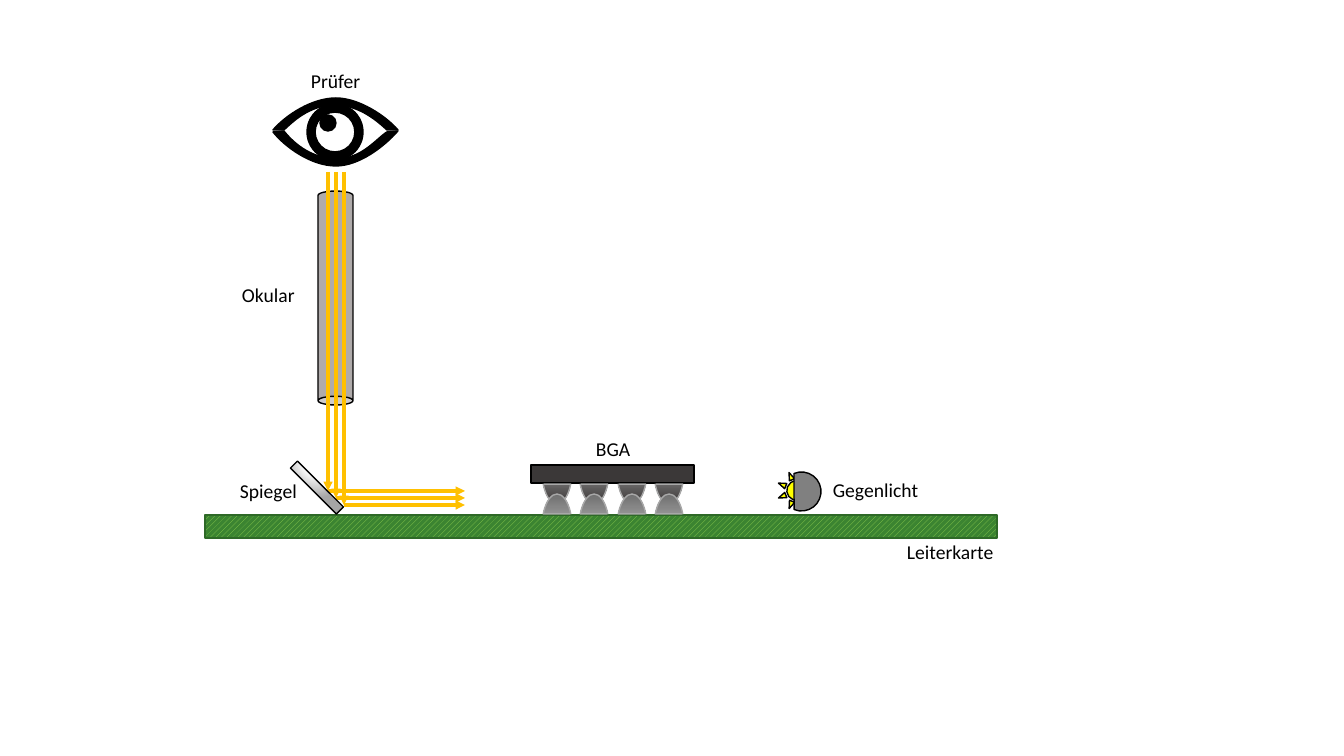
from dataclasses import dataclass
from typing import Union

from pptx import Presentation
from pptx.dml.color import RGBColor
from pptx.enum.dml import MSO_PATTERN
from pptx.enum.shapes import MSO_CONNECTOR, MSO_SHAPE as Preset
from pptx.enum.text import MSO_AUTO_SIZE
from pptx.oxml import parse_xml
from pptx.oxml.ns import nsdecls, qn
from pptx.oxml.xmlchemy import OxmlElement
from pptx.util import Emu, Pt

SLIDE_WIDTH, SLIDE_HEIGHT = 1344, 756
EMU_PER_PIXEL = 12192000 / SLIDE_WIDTH

BLACK = RGBColor(0x00, 0x00, 0x00)
WHITE = RGBColor(0xFF, 0xFF, 0xFF)
BOARD_GREEN = RGBColor(0x3B, 0x84, 0x31)
BOARD_STRIPE = RGBColor(0x92, 0xD0, 0x50)
BOARD_EDGE = RGBColor(0x2E, 0x69, 0x27)
PACKAGE_GREY = RGBColor(0x3B, 0x38, 0x38)
SOLDER_SHADE = RGBColor(0x6F, 0x6F, 0x6F)
SOLDER_GREY = RGBColor(0xA8, 0xA8, 0xA8)
SOLDER_SHINE = RGBColor(0xC9, 0xC9, 0xC9)
TUBE_GREY = RGBColor(0xAF, 0xAB, 0xAB)
MIRROR_GREY = RGBColor(0xA5, 0xA5, 0xA5)
LAMP_GREY = RGBColor(0x80, 0x80, 0x80)
LAMP_YELLOW = RGBColor(0xFF, 0xFF, 0x00)
RAY_AMBER = RGBColor(0xFF, 0xC0, 0x00)

Point = tuple[int, int]
Bend = tuple[Point, Point, Point]


@dataclass(frozen=True)
class Gradient:
    """Colour stops in percent, with the XML that gives their direction."""
    stops: tuple[tuple[int, RGBColor], ...]
    shading: str


@dataclass(frozen=True)
class Hatch:
    """Diagonal stripes on a ground colour."""
    stripe: RGBColor
    ground: RGBColor


@dataclass(frozen=True)
class Part:
    """One preset shape of the test setup, in pixels."""
    preset: Preset
    left: int
    top: int
    width: int
    height: int
    fill: Union[RGBColor, Gradient, Hatch]
    edge: RGBColor = BLACK
    rotation: float = 0
    adjustments: tuple[float, ...] = ()


@dataclass(frozen=True)
class Label:
    """A caption and the box that holds it, in pixels."""
    text: str
    left: int
    top: int
    width: int
    height: int = 34


@dataclass(frozen=True)
class Eyelid:
    """A lid: two outer bends from one corner, two inner bends back."""
    corner: Point
    outer: tuple[Bend, Bend]
    turn: Point
    inner: tuple[Bend, Bend]


UPWARD = '<a:lin ang="16200000" scaled="0"/>'
ROUND = ('<a:path path="circle"><a:fillToRect l="50000" t="-80000" '
         'r="50000" b="180000"/></a:path>')
PAD_SOLDER = Gradient(((0, PACKAGE_GREY), (73, SOLDER_GREY), (100, SOLDER_SHINE)), UPWARD)
BALL_SOLDER = Gradient(((0, SOLDER_SHADE), (48, SOLDER_GREY), (100, SOLDER_SHINE)), UPWARD)
MIRROR_GLOSS = Gradient(((0, WHITE), (35, WHITE), (100, MIRROR_GREY)), ROUND)

BALL_COUNT, FIRST_BALL, LAST_BALL = 4, 542, 654
BALL_CUT = (26.171, 81.728)
RAY_START, RAY_END = 172, 465

BOARD = Part(Preset.RECTANGLE, 205, 515, 792, 23, Hatch(BOARD_STRIPE, BOARD_GREEN), BOARD_EDGE)
PACKAGE = Part(Preset.RECTANGLE, 531, 465, 163, 18, PACKAGE_GREY)
EYEPIECE = Part(Preset.CAN, 318, 191, 35, 214, TUBE_GREY, rotation=180)
IRIS = Part(Preset.DONUT, 307, 104, 56, 56, BLACK, adjustments=(0.145,))
PUPIL = Part(Preset.OVAL, 320, 115, 16, 16, BLACK)
MIRROR = Part(Preset.RECTANGLE, 312, 455, 10, 65, MIRROR_GLOSS, rotation=315)
LAMP_GLOW = Part(Preset.SUN, 777, 471, 39, 39, LAMP_YELLOW, rotation=202.3)
LAMP_HOUSING = Part(Preset.CHORD, 782, 472, 39, 39, LAMP_GREY, rotation=202.3)

EYELIDS = (
    Eyelid((273, 130), (((286, 115), (312, 98), (336, 98)), ((359, 98), (386, 116), (398, 130))),
           (387, 130), (((378, 122), (361, 106), (336, 105)), ((308, 105), (291, 124), (284, 130)))),
    Eyelid((398, 131), (((384, 147), (359, 166), (336, 166)), ((311, 166), (285, 147), (273, 132))),
           (284, 131), (((292, 141), (309, 158), (336, 159)), ((362, 159), (377, 138), (387, 132)))),
)

LABELS = (
    Label("Leiterkarte", 897, 535, 108),
    Label("Gegenlicht", 823, 473, 107),
    Label("Spiegel", 230, 474, 78),
    Label("Okular", 232, 278, 74),
    Label("Prüfer", 301, 64, 71),
    Label("BGA", 586, 432, 55),
)


def px(pixels: float) -> Emu:
    """Turn pixels into EMU."""
    return Emu(round(pixels * EMU_PER_PIXEL))


def paint(shape, fill: Union[RGBColor, Gradient, Hatch], edge: RGBColor) -> None:
    """Give a shape its fill and a one-point edge, without a shadow."""
    shape.shadow.inherit = False
    shape.line.color.rgb = edge
    shape.line.width = Pt(1)
    if isinstance(fill, Gradient):
        shape.fill.gradient()
        properties = shape._element.spPr
        stops = "".join(f'<a:gs pos="{percent * 1000}"><a:srgbClr val="{color}"/></a:gs>'
                        for percent, color in fill.stops)
        properties.replace(properties.find(qn("a:gradFill")), parse_xml(
            f'<a:gradFill {nsdecls("a")} rotWithShape="1">'
            f'<a:gsLst>{stops}</a:gsLst>{fill.shading}</a:gradFill>'))
    elif isinstance(fill, Hatch):
        shape.fill.patterned()
        shape.fill.pattern = MSO_PATTERN.WIDE_UPWARD_DIAGONAL
        shape.fill.fore_color.rgb = fill.stripe
        shape.fill.back_color.rgb = fill.ground
    else:
        shape.fill.solid()
        shape.fill.fore_color.rgb = fill


def draw_part(shapes, part: Part) -> None:
    """Draw one preset shape."""
    shape = shapes.add_shape(part.preset, px(part.left), px(part.top),
                             px(part.width), px(part.height))
    shape.rotation = part.rotation
    for index, value in enumerate(part.adjustments):
        shape.adjustments[index] = value
    paint(shape, part.fill, part.edge)


def draw_solder(shapes, top: int, solder: Gradient, rotation: float) -> None:
    """Draw an evenly spaced row of solder caps."""
    pitch = (LAST_BALL - FIRST_BALL) / (BALL_COUNT - 1)
    for index in range(BALL_COUNT):
        draw_part(shapes, Part(Preset.CHORD, round(FIRST_BALL + index * pitch), top, 30, 66,
                               solder, SOLDER_GREY, rotation, BALL_CUT))


def draw_eyelid(shapes, lid: Eyelid) -> None:
    """Draw one lid as a closed outline and bend its long sides."""
    ends = [bend[-1] for bend in lid.outer] + [lid.turn] + [bend[-1] for bend in lid.inner]
    outline = shapes.build_freeform(*map(px, lid.corner))
    outline.add_line_segments([(px(x), px(y)) for x, y in ends], close=True)
    shape = outline.convert_to_shape()
    sides = list(shape._element.spPr.iter(qn("a:lnTo")))
    for side, bend in zip(sides[:2] + sides[3:], lid.outer + lid.inner):
        points = "".join(f'<a:pt x="{px(x) - shape.left}" y="{px(y) - shape.top}"/>'
                         for x, y in bend)
        side.getparent().replace(side, parse_xml(
            f'<a:cubicBezTo {nsdecls("a")}>{points}</a:cubicBezTo>'))
    paint(shape, BLACK, BLACK)


def draw_ray(shapes, start: Point, end: Point) -> None:
    """Draw a light ray with an arrowhead at its end."""
    ray = shapes.add_connector(MSO_CONNECTOR.STRAIGHT, *map(px, start + end))
    ray.line.color.rgb = RAY_AMBER
    ray.line.width = Pt(2.25)
    arrowhead = OxmlElement("a:tailEnd")
    arrowhead.set("type", "triangle")
    ray.line._get_or_add_ln().append(arrowhead)
    ray._element.spPr.append(OxmlElement("a:effectLst"))


def draw_label(shapes, label: Label) -> None:
    """Write one caption."""
    caption = shapes.add_textbox(px(label.left), px(label.top), px(label.width), px(label.height))
    frame = caption.text_frame
    frame.text = label.text
    frame.word_wrap = False
    frame.auto_size = MSO_AUTO_SIZE.SHAPE_TO_FIT_TEXT
    font = frame.paragraphs[0].runs[0].font
    font.name, font.size, font.color.rgb = "Calibri", Pt(14), BLACK


deck = Presentation()
deck.slide_width, deck.slide_height = px(SLIDE_WIDTH), px(SLIDE_HEIGHT)
setup = deck.slides.add_slide(deck.slide_layouts[6]).shapes

for component in (BOARD, PACKAGE):
    draw_part(setup, component)
draw_solder(setup, 438, PAD_SOLDER, 0)
draw_solder(setup, 494, BALL_SOLDER, 180)
for component in (EYEPIECE, IRIS):
    draw_part(setup, component)
for eyelid in EYELIDS:
    draw_eyelid(setup, eyelid)
draw_part(setup, PUPIL)
reflections = [(328 + 8 * index, 491 + 7 * index) for index in range(3)]
for across, down in reflections:
    draw_ray(setup, (across, RAY_START), (across, down))
for across, down in reflections:
    draw_ray(setup, (across, down), (RAY_END, down))
for component in (MIRROR, LAMP_GLOW, LAMP_HOUSING):
    draw_part(setup, component)
for name in LABELS:
    draw_label(setup, name)

deck.save("out.pptx")
